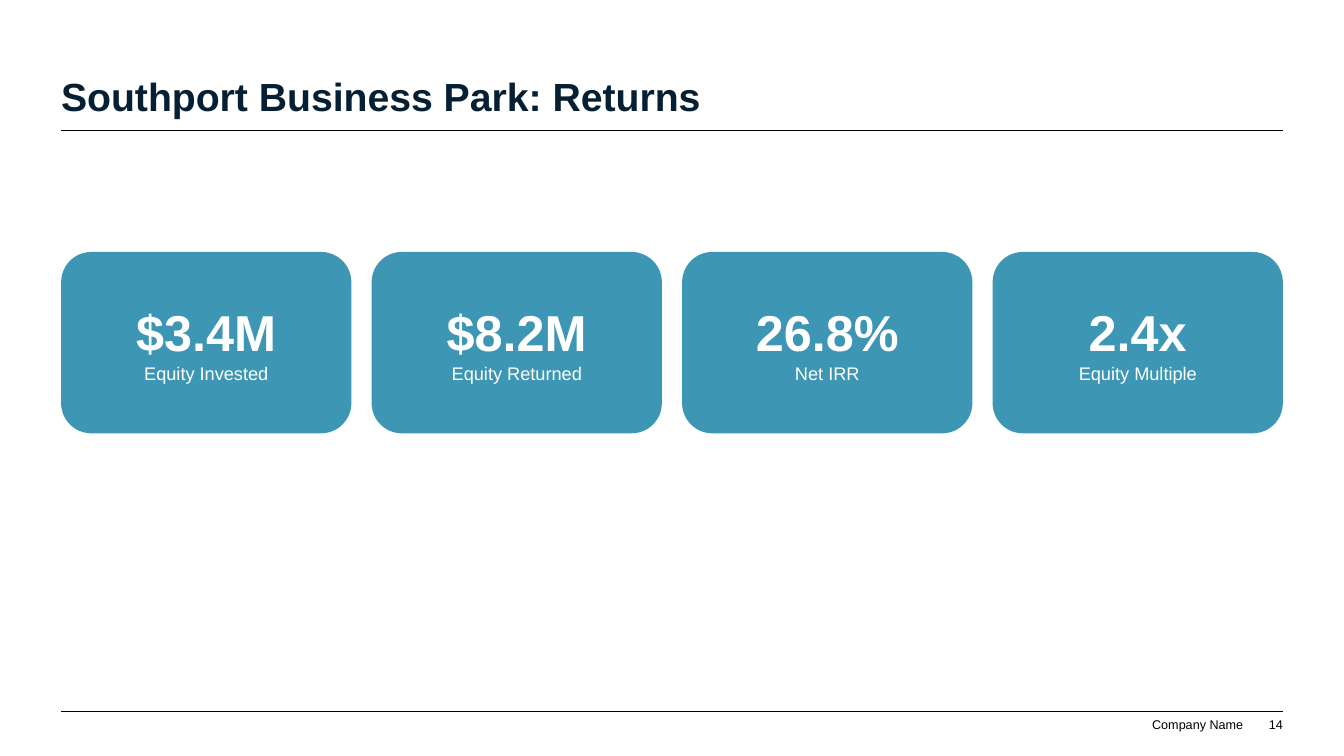
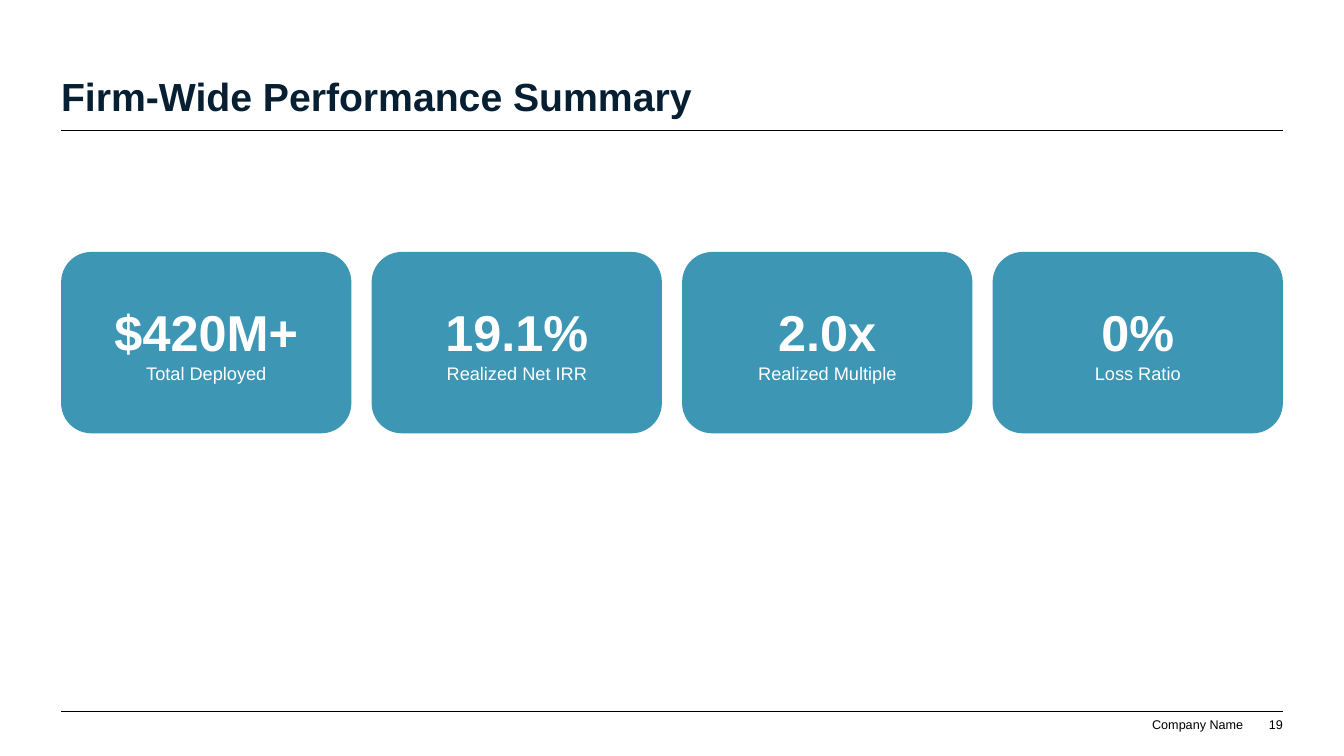
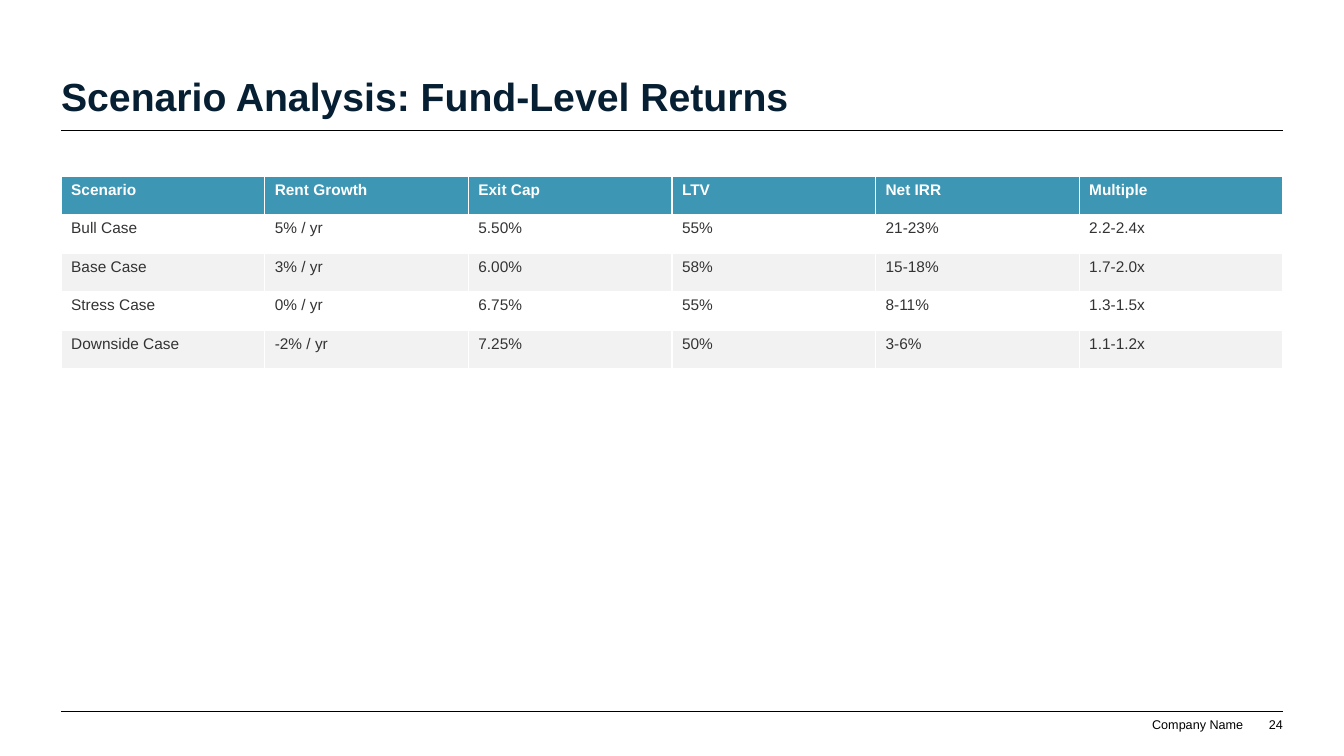
from pptx import Presentation
from pptx.dml.color import RGBColor
from pptx.enum.shapes import MSO_CONNECTOR, MSO_SHAPE
from pptx.enum.text import MSO_ANCHOR, MSO_AUTO_SIZE, PP_ALIGN
from pptx.oxml.ns import qn
from pptx.util import Cm, Pt
from lxml.etree import SubElement

METRIC_SLIDES = [
    ("Southport Business Park: Returns", 14, [
        ("$3.4M", "Equity Invested"),
        ("$8.2M", "Equity Returned"),
        ("26.8%", "Net IRR"),
        ("2.4x", "Equity Multiple"),
    ]),
    ("Firm-Wide Performance Summary", 19, [
        ("$420M+", "Total Deployed"),
        ("19.1%", "Realized Net IRR"),
        ("2.0x", "Realized Multiple"),
        ("0%", "Loss Ratio"),
    ]),
]
SCENARIO_TITLE, SCENARIO_PAGE = "Scenario Analysis: Fund-Level Returns", 24
SCENARIOS = [
    ("Scenario", "Rent Growth", "Exit Cap", "LTV", "Net IRR", "Multiple"),
    ("Bull Case", "5% / yr", "5.50%", "55%", "21-23%", "2.2-2.4x"),
    ("Base Case", "3% / yr", "6.00%", "58%", "15-18%", "1.7-2.0x"),
    ("Stress Case", "0% / yr", "6.75%", "55%", "8-11%", "1.3-1.5x"),
    ("Downside Case", "-2% / yr", "7.25%", "50%", "3-6%", "1.1-1.2x"),
]
FOOTER = "Company Name"

COLORS = {"title": "061F32", "accent": "3C96B4", "white": "FFFFFF",
          "band": "F2F2F2", "body": "333333", "black": "000000"}
FORMATS = {
    "title": {"size": Pt(28), "bold": True, "color": "title"},
    "footer": {"size": Pt(9), "bold": False, "color": "black"},
    "value": {"size": Pt(36), "bold": True, "color": "white"},
    "label": {"size": Pt(13), "bold": False, "color": "white"},
    "header": {"size": Pt(11), "bold": True, "color": "white"},
    "cell": {"size": Pt(11), "bold": False, "color": "body"},
}

LEFT, WIDTH = Cm(1.54), Cm(30.79)
RIGHT = LEFT + WIDTH
TITLE_TOP, TITLE_HEIGHT = Cm(0.98), Cm(2.03)
RULES = (Cm(3.28), Cm(17.93))
FOOTER_TOP, FOOTER_HEIGHT = Cm(18.06), Cm(0.38)
CARD_TOP, CARD_HEIGHT, CARD_GAP = Cm(6.35), Cm(4.57), Cm(0.51)
TABLE_TOP, ROW_HEIGHT = Cm(4.44), Cm(0.97)


def rgb(name):
    return RGBColor.from_string(COLORS[name])


def paint(target, name):
    target.fill.solid()
    target.fill.fore_color.rgb = rgb(name)


def write(p, text, style, align=PP_ALIGN.LEFT):
    p.alignment = align
    r = p.add_run()
    r.text = text
    r.font.name = "Arial"
    for key, value in FORMATS[style].items():
        if key == "color":
            r.font.color.rgb = rgb(value)
        else:
            setattr(r.font, key, value)


def set_frame(tf, wrap=True):
    """Remove the insets and stand the text on the bottom edge."""
    values = {"margin_left": 0, "margin_top": 0, "margin_right": 0,
              "margin_bottom": 0, "vertical_anchor": MSO_ANCHOR.BOTTOM,
              "auto_size": MSO_AUTO_SIZE.NONE, "word_wrap": wrap}
    for key, value in values.items():
        setattr(tf, key, value)


def add_rule(s, y):
    line = s.shapes.add_connector(MSO_CONNECTOR.STRAIGHT, LEFT, y, RIGHT, y)
    line.line.color.rgb = rgb("black")
    line.line.width = Pt(0.5)
    SubElement(line._element.spPr, qn("a:effectLst"))


def add_footer_text(s, text, right, width, wrap):
    sp = s.shapes.add_textbox(right - width, FOOTER_TOP, width, FOOTER_HEIGHT)
    set_frame(sp.text_frame, wrap)
    write(sp.text_frame.paragraphs[0], text, "footer", PP_ALIGN.RIGHT)


def add_slide(prs, title, page):
    """Add a slide with the shared title, rules and footer."""
    s = prs.slides.add_slide(prs.slide_layouts[5])
    sp = s.shapes.title
    sp.left, sp.top, sp.width, sp.height = LEFT, TITLE_TOP, WIDTH, TITLE_HEIGHT
    paint(sp, "white")
    set_frame(sp.text_frame)
    write(sp.text_frame.paragraphs[0], title, "title")
    for y in RULES:
        add_rule(s, y)
    add_footer_text(s, FOOTER, Cm(31.33), Cm(2.31), False)
    add_footer_text(s, str(page), RIGHT, Cm(0.91), True)
    return s


def add_cards(s, metrics):
    width = (WIDTH - CARD_GAP * (len(metrics) - 1)) // len(metrics)
    for i, (value, label) in enumerate(metrics):
        sp = s.shapes.add_shape(MSO_SHAPE.ROUNDED_RECTANGLE,
                                LEFT + i * (width + CARD_GAP), CARD_TOP,
                                width, CARD_HEIGHT)
        sp.shadow.inherit = False
        paint(sp, "accent")
        sp.line.fill.background()
        tf = sp.text_frame
        tf.word_wrap = True
        tf.vertical_anchor = MSO_ANCHOR.MIDDLE
        write(tf.paragraphs[0], value, "value", PP_ALIGN.CENTER)
        write(tf.add_paragraph(), label, "label", PP_ALIGN.CENTER)


def add_scenarios(s, rows):
    table = s.shapes.add_table(len(rows), len(rows[0]), LEFT, TABLE_TOP,
                               WIDTH, ROW_HEIGHT * len(rows)).table
    for i, row in enumerate(rows):
        fill = "accent" if i == 0 else "white" if i % 2 else "band"
        for j, text in enumerate(row):
            cell = table.cell(i, j)
            paint(cell, fill)
            write(cell.text_frame.paragraphs[0], text,
                  "cell" if i else "header")


def main():
    prs = Presentation()
    prs.slide_width, prs.slide_height = Cm(33.87), Cm(19.05)
    for title, page, metrics in METRIC_SLIDES:
        add_cards(add_slide(prs, title, page), metrics)
    add_scenarios(add_slide(prs, SCENARIO_TITLE, SCENARIO_PAGE), SCENARIOS)
    prs.save("out.pptx")


if __name__ == "__main__":
    main()
